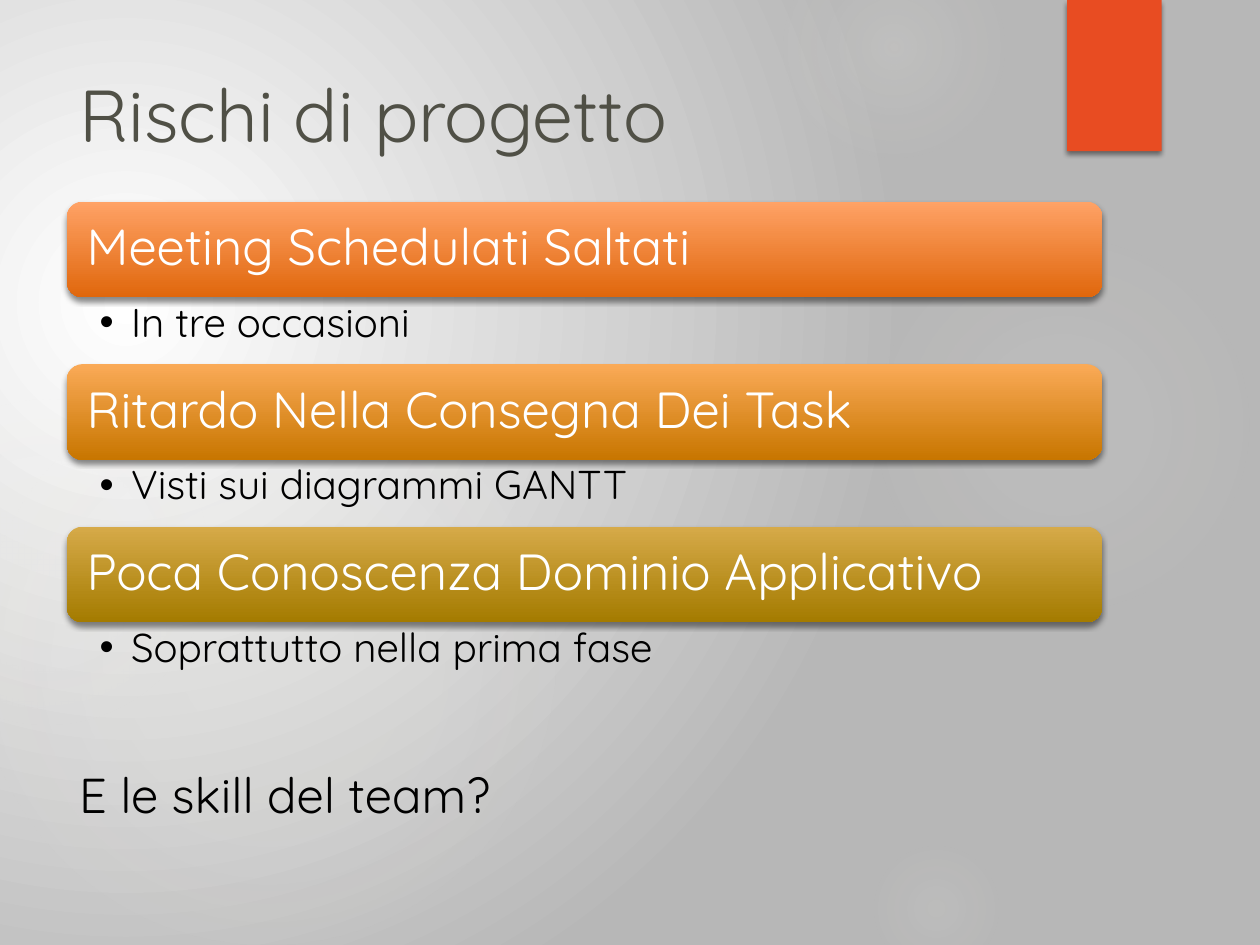
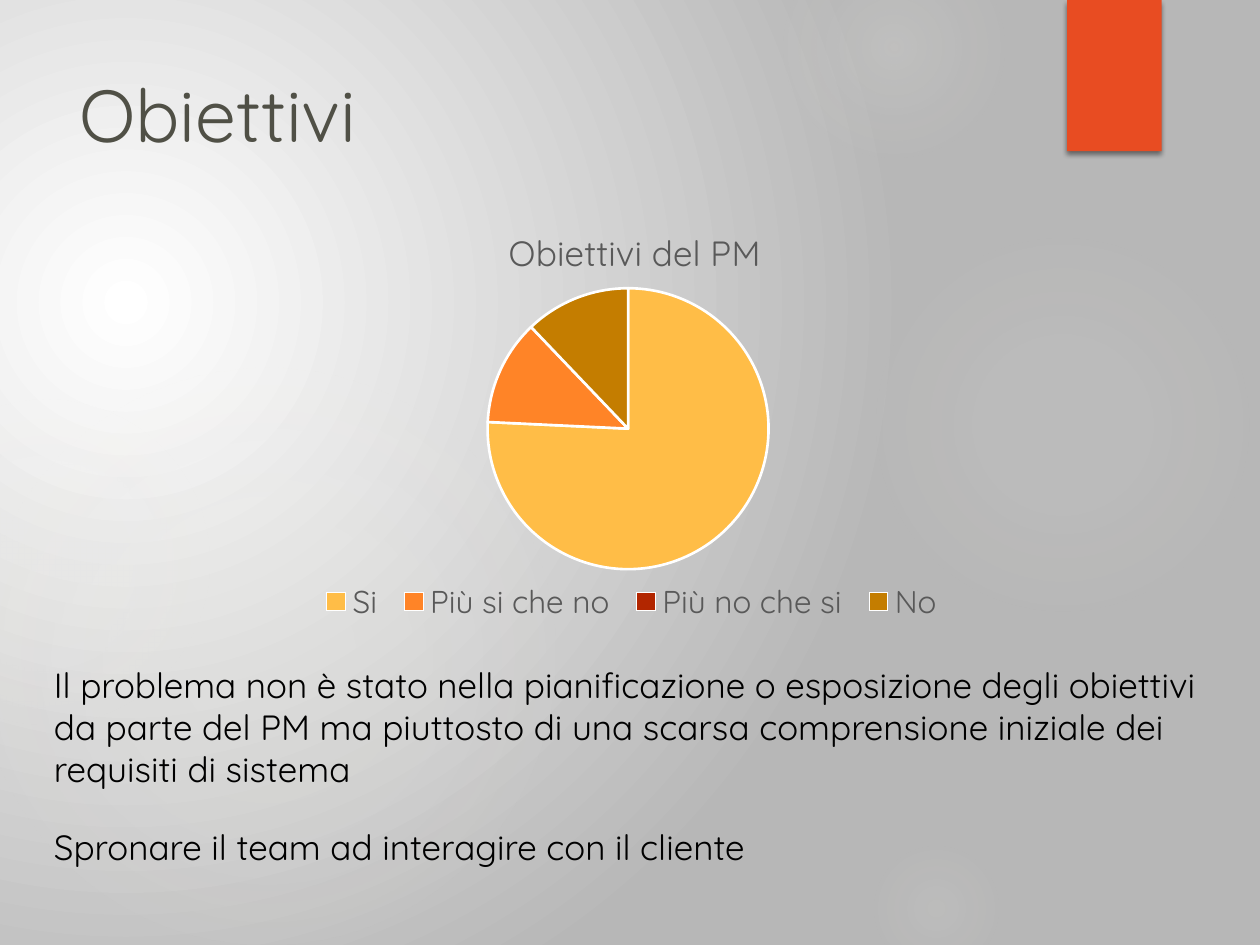
import pptx
import pptx.chart.data
import pptx.dml.color
import pptx.enum.chart
import pptx.enum.shapes
import pptx.enum.text
import pptx.oxml
import pptx.oxml.ns
import pptx.util

PX = 9144  # 100 px to the inch
FONT = "Quicksand"
COLORS = {
    "white": "FFFFFF", "grey": "B7B7B7", "glow": "F5F4ED", "tab": "E84C22",
    "title": "505046", "text": "000000", "chart_text": "595959",
}
RGB = pptx.dml.color.RGBColor.from_string
SHAPES = pptx.enum.shapes.MSO_SHAPE
MIDDLE = pptx.enum.text.MSO_ANCHOR.MIDDLE
NS = pptx.oxml.ns.nsdecls("a")


def set_gradient(fill, owner, stops, direction):
    """Fill with stops of (percent, colour, opacity percent); direction is XML."""
    fill.gradient()
    old = owner.find(".//" + pptx.oxml.ns.qn("a:gradFill"))
    stop_xml = "".join(
        f'<a:gs pos="{position * 1000}"><a:srgbClr val="{color}">'
        f'<a:alpha val="{opacity * 1000}"/></a:srgbClr></a:gs>'
        for position, color, opacity in stops)
    new = pptx.oxml.parse_xml(
        f'<a:gradFill {NS} rotWithShape="1"><a:gsLst>{stop_xml}</a:gsLst>{direction}</a:gradFill>')
    old.getparent().replace(old, new)


def write(box, text, size, color, insets=(10, 5, 10, 5), bullet=False, **paragraph_format):
    frame = box.text_frame
    frame.word_wrap = True
    for side, inset in zip(("left", "top", "right", "bottom"), insets):
        setattr(frame, f"margin_{side}", inset * PX)
    para = frame.paragraphs[0]
    para.alignment = pptx.enum.text.PP_ALIGN.LEFT
    for name, value in paragraph_format.items():
        setattr(para, name, value)
    if bullet:
        properties = para._p.get_or_add_pPr()
        properties.set("marL", str(25 * PX))
        properties.set("indent", str(-25 * PX))
        for tag in ('buFont {} typeface="Arial"', 'buChar {} char="•"'):
            properties.append(pptx.oxml.parse_xml(f"<a:{tag.format(NS)}/>"))
    span = para.add_run()
    span.text = text
    for name, value in {"name": FONT, "size": pptx.util.Pt(size)}.items():
        setattr(span.font, name, value)
    span.font.color.rgb = RGB(color)


deck = pptx.Presentation()
deck.slide_width, deck.slide_height = 1000 * PX, 750 * PX

# Background, glows, tab and title shared by both slides
PATH = '<a:path path="circle"><a:fillToRect l="{}000" t="{}000" r="{}000" b="{}000"/></a:path>'
GLOWS = [  # left, top, diameter, opacity at centre and at 36 %, end of fade
    (689, 183, 308, 7, 6, 69),
    (622, -50, 175, 14, 7, 73),
    (689, 667, 108, 9, 5, 66),
    (-17, 292, 458, 11, 10, 75),
    (-92, 317, 258, 8, 8, 72),
]
pages = []
raised_shapes = []
for title in ("Rischi di progetto", "Obiettivi"):
    page = deck.slides.add_slide(deck.slide_layouts[6])
    pages.append(page)
    set_gradient(page.background.fill, page.element,
                 [(0, COLORS["white"], 100), (100, COLORS["grey"], 100)],
                 PATH.format(45, 65, 125, 100))
    for left, top, diameter, centre, ring, end in GLOWS:
        glow = page.shapes.add_shape(SHAPES.OVAL, left * PX, top * PX, diameter * PX, diameter * PX)
        glow.shadow.inherit = False
        glow.line.fill.background()
        stops = [(position, COLORS["glow"], opacity)
                 for position, opacity in ((0, centre), (36, ring), (end, 0))]
        set_gradient(glow.fill, glow.element, stops, PATH.format(50, 50, 50, 50))
    tab = page.shapes.add_shape(SHAPES.RECTANGLE, 847 * PX, 0, 75 * PX, 120 * PX)
    tab.fill.solid()
    tab.fill.fore_color.rgb = RGB(COLORS["tab"])
    raised_shapes.append(tab)
    box = page.shapes.add_textbox(53 * PX, 50 * PX, 772 * PX, 153 * PX)
    write(box, title, 42, COLORS["title"])
risks_page, goals_page = pages

# Slide 1: each risk is a bar with a detail line below
RISKS = [
    ("Meeting Schedulati Saltati", "In tre occasioni", "FFA266", "E0670C"),
    ("Ritardo Nella Consegna Dei Task", "Visti sui diagrammi GANTT", "FAAA57", "C87600"),
    ("Poca Conoscenza Dominio Applicativo", "Soprattutto nella prima fase", "D6AA49", "A47B00"),
]
LEFT, WIDTH, BAR_HEIGHT, DETAIL_HEIGHT = 53 * PX, 822 * PX, 76 * PX, 53 * PX
for index, (risk, detail, light, dark) in enumerate(RISKS):
    top = 160 * PX + index * (BAR_HEIGHT + DETAIL_HEIGHT)
    bar = risks_page.shapes.add_shape(SHAPES.ROUNDED_RECTANGLE, LEFT, top, WIDTH, BAR_HEIGHT)
    set_gradient(bar.fill, bar.element, [(0, light, 100), (100, dark, 100)],
                 '<a:lin ang="5400000" scaled="0"/>')
    bar.text_frame.vertical_anchor = MIDDLE
    write(bar, risk, 29, COLORS["white"], (12, 12, 12, 12), line_spacing=0.9)
    raised_shapes.append(bar)
    box = risks_page.shapes.add_textbox(LEFT, top + BAR_HEIGHT, WIDTH, DETAIL_HEIGHT)
    write(box, detail, 23, COLORS["text"], (26, 4, 23, 4), bullet=True, line_spacing=0.9)
box = risks_page.shapes.add_textbox(LEFT, 602 * PX, 859 * PX, 57 * PX)
write(box, "E le skill del team?", 28, COLORS["text"])

for shape in raised_shapes:
    shape.line.fill.background()
    shape.shadow.inherit = False
    effects = shape.element.spPr.find(pptx.oxml.ns.qn("a:effectLst"))
    effects.append(pptx.oxml.parse_xml(
        f'<a:outerShdw {NS} blurRad="38100" dist="25400" dir="5400000" rotWithShape="0">'
        '<a:srgbClr val="000000"><a:alpha val="45000"/></a:srgbClr></a:outerShdw>'))

# Slide 2: pie of answers and two remarks
ANSWERS = {
    "Si": (75, "FFBD47"),
    "Più si che no": (12, "FF8427"),
    "Più no che si": (0, "B22600"),
    "No": (12, "C47D00"),
}
data = pptx.chart.data.CategoryChartData()
data.categories = list(ANSWERS)
data.add_series("Series 1", [value for value, _ in ANSWERS.values()])
chart = goals_page.shapes.add_chart(
    pptx.enum.chart.XL_CHART_TYPE.PIE, 205 * PX, 157 * PX, 587 * PX, 356 * PX, data).chart
chart.has_title = True
chart.has_legend = True
chart.legend.position = pptx.enum.chart.XL_LEGEND_POSITION.BOTTOM
chart.legend.include_in_layout = False
title_para = chart.chart_title.text_frame.paragraphs[0]
title_para.text = "Obiettivi del PM"
for font, size, color in ((chart.font, 10, "text"),
                          (title_para.runs[0].font, 20, "chart_text"),
                          (chart.legend.font, 18, "chart_text")):
    for name, value in {"name": FONT, "size": pptx.util.Pt(size), "bold": False}.items():
        setattr(font, name, value)
    font.color.rgb = RGB(COLORS[color])
pie = chart.plots[0]
pie.vary_by_categories = True
for index, (_, color) in enumerate(ANSWERS.values()):
    slice_format = pie.series[0].points[index].format
    slice_format.fill.solid()
    slice_format.fill.fore_color.rgb = RGB(color)
    slice_format.line.color.rgb = RGB(COLORS["white"])
    slice_format.line.width = pptx.util.Pt(1.5)

# Places inside the chart, as shares of its width and height
EDGES = {"xMode": "edge", "yMode": "edge"}
PLACES = [  # part, index of its layout element, settings
    ("title", 1, EDGES | {"x": 0.33, "y": 0.05}),
    ("plotArea", 0, {"layoutTarget": "inner"} | EDGES | {"x": 0.31, "y": 0.2, "w": 0.38, "h": 0.63}),
    ("legend", 1, EDGES | {"x": 0.07, "y": 0.85, "w": 0.87, "h": 0.1}),
]
for part_name, position, settings in PLACES:
    part = chart.element.find(".//" + pptx.oxml.ns.qn(f"c:{part_name}"))
    for layout in part.findall(pptx.oxml.ns.qn("c:layout")):
        part.remove(layout)
    settings_xml = "".join(f'<c:{name} val="{value}"/>' for name, value in settings.items())
    part.insert(position, pptx.oxml.parse_xml(
        f'<c:layout {pptx.oxml.ns.nsdecls("c")}>'
        f'<c:manualLayout>{settings_xml}</c:manualLayout></c:layout>'))

REMARKS = [
    (522, 111, "Il problema non è stato nella pianificazione o esposizione degli obiettivi da parte "
               "del PM ma piuttosto di una scarsa comprensione iniziale dei requisiti di sistema"),
    (650, 44, "Spronare il team ad interagire con il cliente"),
]
for top, height, remark in REMARKS:
    box = goals_page.shapes.add_textbox(33 * PX, top * PX, 953 * PX, height * PX)
    write(box, remark, 20, COLORS["text"])

deck.save("out.pptx")
